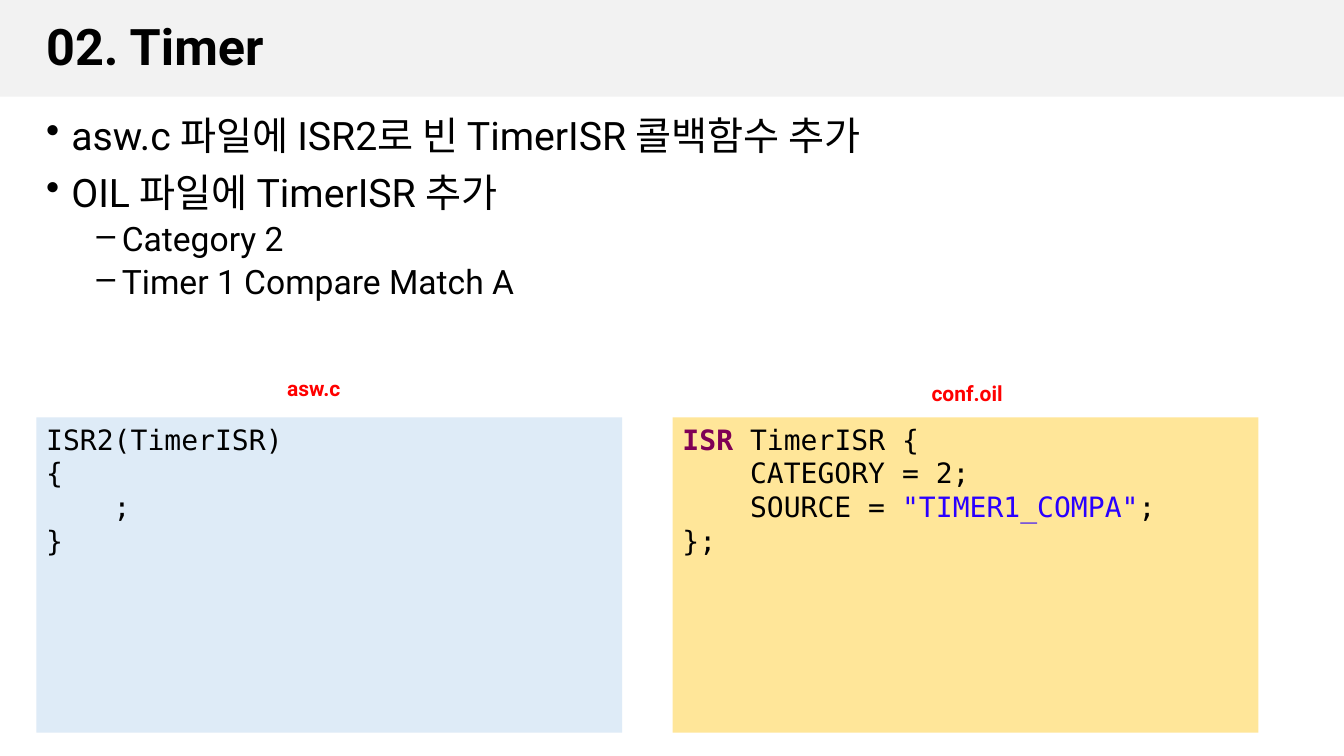
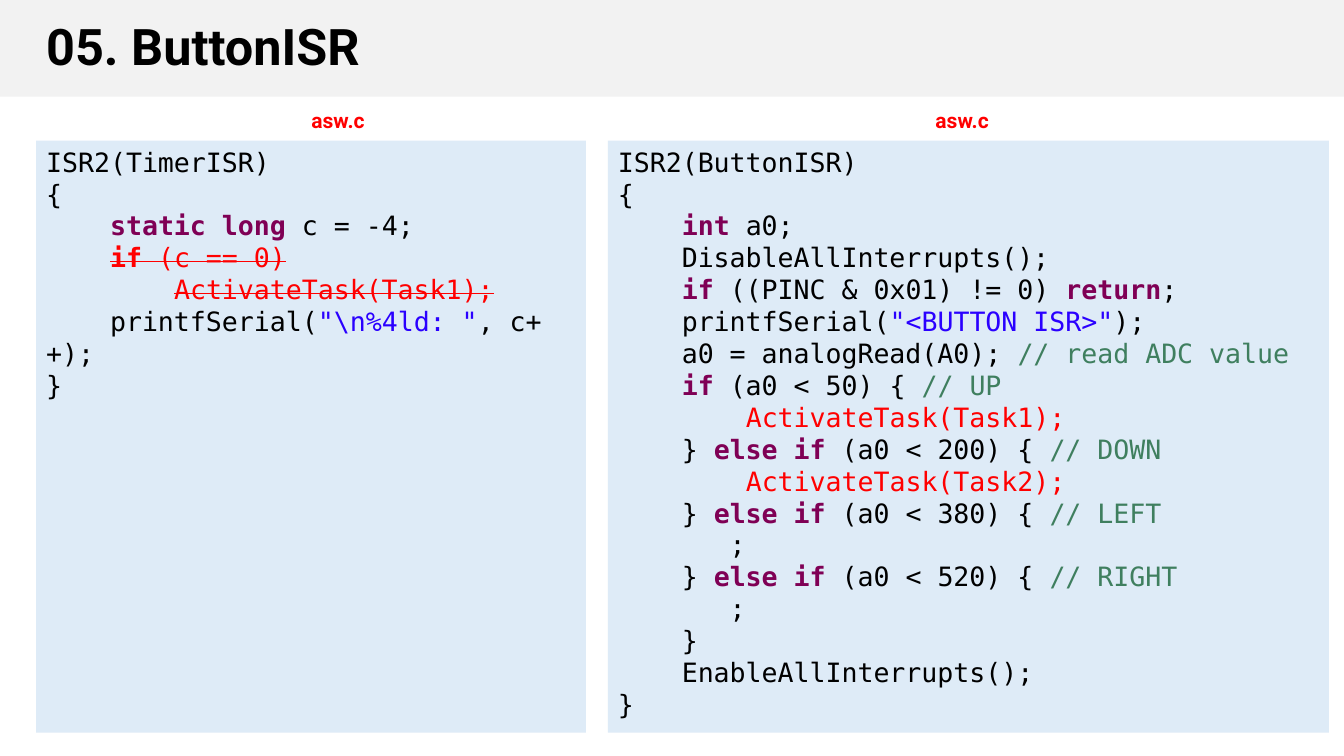
"""Build two slides on timer and button interrupt routines."""
from dataclasses import dataclass

from lxml import etree
from pptx import Presentation
from pptx.dml.color import RGBColor
from pptx.enum.shapes import MSO_SHAPE
from pptx.enum.text import MSO_ANCHOR, PP_ALIGN
from pptx.oxml.ns import qn
from pptx.util import Inches, Pt

RECTANGLE = MSO_SHAPE.RECTANGLE
LEFT = PP_ALIGN.LEFT
TOP, MIDDLE = MSO_ANCHOR.TOP, MSO_ANCHOR.MIDDLE
SLIDE_WIDTH, SLIDE_HEIGHT = Inches(13.33), Inches(7.5)


@dataclass(frozen=True)
class Theme:
    """Colours, fonts and type sizes of the deck."""
    text: str = "000000"
    band: str = "F2F2F2"
    source_panel: str = "DEEBF7"
    config_panel: str = "FFE699"
    keyword: str = "7F0055"
    string: str = "2A00FF"
    comment: str = "3F7F5F"
    accent: str = "FF0000"
    text_font: str = "Roboto"
    code_font: str = "DejaVu Sans Mono"
    title_size: int = 36
    bullet_sizes: tuple[int, int] = (28, 24)
    label_size: int = 15


THEME = Theme()


@dataclass(frozen=True)
class Area:
    """Position and size in percent of the slide."""
    left: float
    top: float
    width: float
    height: float

    def lengths(self) -> tuple[int, int, int, int]:
        """Return left, top, width and height in EMU."""
        return (int(SLIDE_WIDTH * self.left / 100), int(SLIDE_HEIGHT * self.top / 100),
                int(SLIDE_WIDTH * self.width / 100), int(SLIDE_HEIGHT * self.height / 100))


@dataclass(frozen=True)
class Span:
    """A stretch of text with one format."""
    text: str
    color: str = THEME.text
    bold: bool = False
    strike: bool = False


@dataclass(frozen=True)
class Bullet:
    """A bullet line and its level."""
    text: str
    level: int = 0


Line = tuple[str | Span, ...]


@dataclass(frozen=True)
class CodePanel:
    """A code listing with the file label above it."""
    file_name: str
    label_left: float
    label_top: float
    label_width: float
    left: float
    top: float
    width: float
    fill: str
    size: int
    lines: tuple[Line, ...]


MARGIN = 2.7
BOTTOM = 96.93
BAND = Area(0, 0, 100, 12.8)
TITLE = Area(MARGIN, 0.93, 94.52, 11.07)
BODY = Area(MARGIN, 14.8, 94.52, 82.13)
LABEL_HEIGHT = 4.67


def keyword(text: str) -> Span:
    """Return a language keyword."""
    return Span(text, THEME.keyword, bold=True)


def string(text: str) -> Span:
    """Return a string literal."""
    return Span(text, THEME.string)


def comment(text: str) -> Span:
    """Return a code comment."""
    return Span(text, THEME.comment)


def added(text: str) -> Span:
    """Return newly added code."""
    return Span(text, THEME.accent)


def removed(text: str, bold: bool = False) -> Span:
    """Return struck-out code."""
    return Span(text, THEME.accent, bold, strike=True)


def branch(limit: int, direction: str) -> Line:
    """Return an else-if line of the button routine."""
    return ("    } ", keyword("else if"), f" (a0 < {limit}) {{ ", comment(f"// {direction}"))


def write_line(paragraph, line: Line, *, font: str, size: int, color: str = THEME.text,
               bold: bool = False, spacing: float = 1.0) -> None:
    """Write one line of text into a paragraph with the given format."""
    paragraph.alignment = LEFT
    paragraph.line_spacing = spacing
    for part in line:
        span = part if isinstance(part, Span) else Span(part, color, bold)
        run = paragraph.add_run()
        run.text = span.text
        run.font.name, run.font.size, run.font.bold = font, Pt(size), span.bold
        run.font.color.rgb = RGBColor.from_string(span.color)
        if span.strike:
            run._r.get_or_add_rPr().set("strike", "sngStrike")


def paragraph_at(frame, index: int):
    """Return the first paragraph, or a new one after it."""
    return frame.add_paragraph() if index else frame.paragraphs[0]


def add_text_frame(slide, area: Area, anchor=TOP):
    """Add a wrapping text box and return its frame."""
    frame = slide.shapes.add_textbox(*area.lengths()).text_frame
    frame.word_wrap = True
    frame.vertical_anchor = anchor
    return frame


def add_rectangle(slide, area: Area, fill: str):
    """Add a plain filled rectangle."""
    shape = slide.shapes.add_shape(RECTANGLE, *area.lengths())
    shape.shadow.inherit = False
    shape.fill.solid()
    shape.fill.fore_color.rgb = RGBColor.from_string(fill)
    shape.line.fill.background()
    return shape


def add_titled_slide(presentation, title: str):
    """Add a blank slide with the title band."""
    slide = presentation.slides.add_slide(presentation.slide_layouts[6])
    add_rectangle(slide, BAND, THEME.band)
    frame = add_text_frame(slide, TITLE, MIDDLE)
    write_line(frame.paragraphs[0], (title,), font=THEME.text_font,
               size=THEME.title_size, bold=True, spacing=0.9)
    return slide


def add_bullets(slide, bullets: tuple[Bullet, ...]) -> None:
    """Add the two-level bullet list."""
    frame = add_text_frame(slide, BODY)
    for index, bullet in enumerate(bullets):
        paragraph = paragraph_at(frame, index)
        properties = paragraph._p.get_or_add_pPr()
        properties.set("marL", str(Inches(0.25 + 0.5 * bullet.level)))
        properties.set("indent", str(Inches(-0.25)))
        etree.SubElement(properties, qn("a:buChar")).set("char", "•–"[bullet.level])
        if index:
            paragraph.space_before = Pt((10, 5)[bullet.level])
        write_line(paragraph, (bullet.text,), font=THEME.text_font,
                   size=THEME.bullet_sizes[bullet.level], spacing=0.9)


def add_code_panel(slide, panel: CodePanel) -> None:
    """Add a code listing and its file label."""
    area = Area(panel.left, panel.top, panel.width, BOTTOM - panel.top)
    frame = add_rectangle(slide, area, panel.fill).text_frame
    frame.word_wrap = True
    frame.vertical_anchor = TOP
    for index, line in enumerate(panel.lines):
        write_line(paragraph_at(frame, index), line, font=THEME.code_font, size=panel.size)
    label = Area(panel.label_left, panel.label_top, panel.label_width, LABEL_HEIGHT)
    write_line(add_text_frame(slide, label).paragraphs[0], (panel.file_name,),
               font=THEME.text_font, size=THEME.label_size, color=THEME.accent, bold=True)


TIMER_BULLETS = (
    Bullet("asw.c 파일에 ISR2로 빈 TimerISR 콜백함수 추가"),
    Bullet("OIL 파일에 TimerISR 추가"),
    Bullet("Category 2", 1),
    Bullet("Timer 1 Compare Match A", 1),
)

TIMER_PANELS = (
    CodePanel("asw.c", 20.63, 49.07, 6.45, MARGIN, 55.2, 43.59, THEME.source_panel, 20, (
        ("ISR2(TimerISR)",),
        ("{",),
        ("    ;",),
        ("}",),
    )),
    CodePanel("conf.oil", 68.57, 49.73, 8.03, 50.04, 55.2, 43.59, THEME.config_panel, 20, (
        (keyword("ISR "), "TimerISR {"),
        ("    CATEGORY = 2;",),
        ("    SOURCE = ", string('"TIMER1_COMPA"'), ";"),
        ("};",),
    )),
)

BUTTON_PANELS = (
    CodePanel("asw.c", 22.43, 13.6, 6.45, MARGIN, 18.6, 40.9, THEME.source_panel, 19, (
        ("ISR2(TimerISR)",),
        ("{",),
        ("    ", keyword("static long"), " c = -4;"),
        ("    ", removed("if", bold=True), removed(" (c == 0)")),
        ("        ", removed("ActivateTask(Task1);")),
        ("    printfSerial(", string('"\\n%4ld: "'), ", c++);"),
        ("}",),
    )),
    CodePanel("asw.c", 68.87, 13.6, 6.45, 45.24, 18.6, 53.64, THEME.source_panel, 19, (
        ("ISR2(ButtonISR)",),
        ("{",),
        ("    ", keyword("int"), " a0;"),
        ("    DisableAllInterrupts();",),
        ("    ", keyword("if"), " ((PINC & 0x01) != 0) ", keyword("return"), ";"),
        ("    printfSerial(", string('"<BUTTON ISR>"'), ");"),
        ("    a0 = analogRead(A0); ", comment("// read ADC value")),
        ("    ", keyword("if"), " (a0 < 50) { ", comment("// UP")),
        ("        ", added("ActivateTask(Task1);")),
        branch(200, "DOWN"),
        ("        ", added("ActivateTask(Task2);")),
        branch(380, "LEFT"),
        ("       ;",),
        branch(520, "RIGHT"),
        ("       ;",),
        ("    }",),
        ("    EnableAllInterrupts();",),
        ("}",),
    )),
)


def main() -> None:
    """Build and save the presentation."""
    presentation = Presentation()
    presentation.slide_width, presentation.slide_height = SLIDE_WIDTH, SLIDE_HEIGHT
    timer_slide = add_titled_slide(presentation, "02. Timer")
    add_bullets(timer_slide, TIMER_BULLETS)
    button_slide = add_titled_slide(presentation, "05. ButtonISR")
    for slide, panels in ((timer_slide, TIMER_PANELS), (button_slide, BUTTON_PANELS)):
        for panel in panels:
            add_code_panel(slide, panel)
    presentation.save("out.pptx")


if __name__ == "__main__":
    main()
